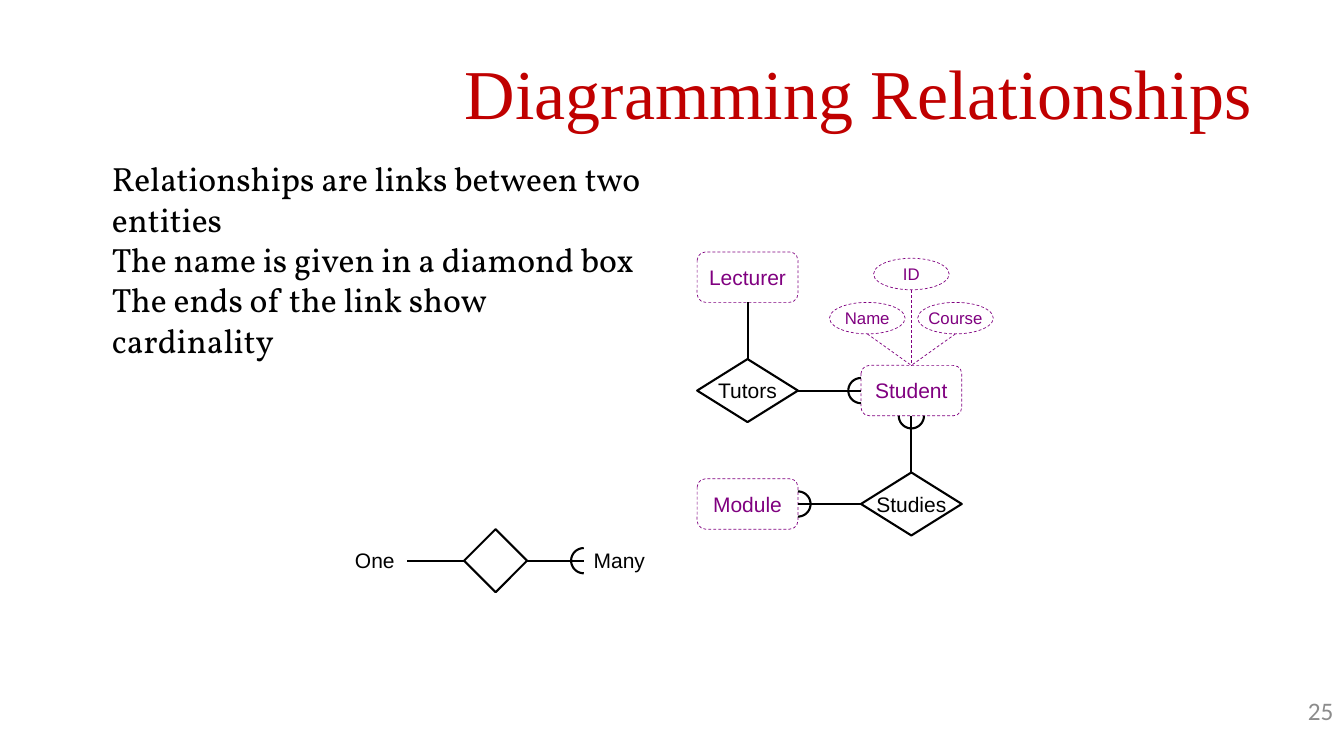
from dataclasses import dataclass
from math import cos, radians, sin

from lxml.etree import SubElement
from pptx import Presentation
from pptx.dml.color import RGBColor
from pptx.enum.dml import MSO_LINE
from pptx.enum.shapes import MSO_CONNECTOR, MSO_SHAPE
from pptx.enum.text import MSO_ANCHOR as Anchor, PP_ALIGN as Align
from pptx.oxml.ns import qn
from pptx.util import Pt

TOP, LEFT, BOTTOM, RIGHT = range(4)


@dataclass(frozen=True)
class Theme:
    """Colours, fonts, type sizes and line weights of the slide."""
    ink: RGBColor = RGBColor(0, 0, 0)
    title: RGBColor = RGBColor(0xC0, 0, 0)
    entity: RGBColor = RGBColor(0x80, 0, 0x80)
    muted: RGBColor = RGBColor(0x8C, 0x8C, 0x8C)
    title_font: str = "Times New Roman"
    body_font: str = "Vollkorn"
    label_font: str = "Arial"
    number_font: str = "Calibri"
    title_size: float = 50
    body_size: float = 24
    number_size: float = 18
    label_size: float = 15
    attribute_size: float = 12
    thick: float = 1.5
    thin: float = 0.5


THEME = Theme()


def write(shape, text, *, size=THEME.label_size, font=THEME.label_font,
          color=THEME.ink, align=Align.LEFT, anchor=Anchor.TOP, wrap=False,
          margins=(7.2, 3.6, 7.2, 3.6), spacing=None):
    """Fill a shape with text, one paragraph per line."""
    frame = shape.text_frame
    frame.word_wrap = wrap
    frame.vertical_anchor = anchor
    (frame.margin_left, frame.margin_top,
     frame.margin_right, frame.margin_bottom) = map(Pt, margins)
    frame.text = text
    for paragraph in frame.paragraphs:
        paragraph.alignment = align
        if spacing:
            paragraph.line_spacing = spacing
        paragraph.font.size = Pt(size)
        paragraph.font.name = font
        paragraph.font.color.rgb = color


def add_text(slide, box, text, **style):
    """Add a text box at the given left, top, width and height."""
    write(slide.shapes.add_textbox(*map(Pt, box)), text, **style)


def style_line(line, dashed):
    """Draw a thin dashed entity line or a thick solid one."""
    line.color.rgb = THEME.entity if dashed else THEME.ink
    line.width = Pt(THEME.thin if dashed else THEME.thick)
    if dashed:
        line.dash_style = MSO_LINE.DASH


def add_node(slide, kind, center, extent, text="", dashed=False, **style):
    """Add an unfilled outline shape around a centre point."""
    (x, y), (width, height) = center, extent
    shape = slide.shapes.add_shape(
        kind, Pt(x - width / 2), Pt(y - height / 2), Pt(width), Pt(height))
    shape.shadow.inherit = False
    shape.fill.background()
    style_line(shape.line, dashed)
    if text:
        write(shape, text, color=THEME.entity if dashed else THEME.ink,
              align=Align.CENTER, anchor=Anchor.MIDDLE, **style)
    return shape


def add_link(slide, start, end, begin=None, finish=None, dashed=False):
    """Add a straight link, joined to the (shape, side) pairs given."""
    link = slide.shapes.add_connector(
        MSO_CONNECTOR.STRAIGHT, *map(Pt, (*start, *end)))
    if begin:
        link.begin_connect(*begin)
    if finish:
        link.end_connect(*finish)
    style_line(link.line, dashed)
    SubElement(link._element.spPr, qn("a:effectLst"))


def add_many_end(slide, center, facing, radius=9, steps=24):
    """Add a half circle bulging in the facing direction, in degrees."""
    x, y = center
    angles = [radians(facing - 90 + 180 * step / steps) for step in range(steps + 1)]
    points = [(Pt(x + radius * cos(a)), Pt(y + radius * sin(a))) for a in angles]
    builder = slide.shapes.build_freeform(*points[0], scale=1.0)
    builder.add_line_segments(points[1:], close=False)
    arc = builder.convert_to_shape()
    arc.shadow.inherit = False
    arc.fill.background()
    style_line(arc.line, False)


def add_attributes(slide, student, center):
    """Add the attribute ellipses above the student entity."""
    x, y = center
    width, height = 54, 22.5
    top = (x, y - 18)
    for name, dx, dy in (("ID", 0, -83.25), ("Course", 31.5, -51.75),
                         ("Name", -31.5, -51.75)):
        add_node(slide, MSO_SHAPE.OVAL, (x + dx, y + dy), (width, height), name,
                 dashed=True, size=THEME.attribute_size)
        add_link(slide, (x + dx, y + dy + height / 2), top,
                 finish=(student, TOP), dashed=True)


def add_entity_diagram(slide, box):
    """Add the entities and the relationships that link them."""
    left, top, width, height = box
    entity, diamond = (72, 36), (72, 45)
    columns = (left + entity[0] / 2, left + width - entity[0] / 2)
    first = top + entity[1] / 2
    pitch = (height - entity[1] / 2 - diamond[1] / 2) / 2
    at = {(c, r): (columns[c], first + r * pitch) for c in range(2) for r in range(3)}

    student, lecturer, module = (
        add_node(slide, MSO_SHAPE.ROUNDED_RECTANGLE, at[cell], entity, name, dashed=True)
        for name, cell in (("Student", (1, 1)), ("Lecturer", (0, 0)), ("Module", (0, 2))))
    tutors, studies = (
        add_node(slide, MSO_SHAPE.DIAMOND, at[cell], diamond, name)
        for name, cell in (("Tutors", (0, 1)), ("Studies", (1, 2))))
    for begin, finish in (((lecturer, BOTTOM), (tutors, TOP)),
                          ((tutors, RIGHT), (student, LEFT)),
                          ((student, BOTTOM), (studies, TOP)),
                          ((module, RIGHT), (studies, LEFT))):
        add_link(slide, (0, 0), (0, 0), begin, finish)

    half_width, half_height = entity[0] / 2, entity[1] / 2
    for cell, dx, dy, facing in (((0, 2), half_width, 0, 0),
                                 ((1, 1), -half_width, 0, 180),
                                 ((1, 1), 0, half_height, 90)):
        x, y = at[cell]
        add_many_end(slide, (x + dx, y + dy), facing)
    add_attributes(slide, student, at[1, 1])


def add_legend(slide, box):
    """Add the key to the one and many ends of a link."""
    left, top, width, height = box
    x, y = left + width / 2, top + height / 2
    diamond = add_node(slide, MSO_SHAPE.DIAMOND, (x, y), (height, height))
    add_link(slide, (left, y), (x, y), finish=(diamond, LEFT))
    add_link(slide, (x, y), (left + width, y), begin=(diamond, RIGHT))
    add_many_end(slide, (left + width, y), 180)
    add_text(slide, (left + width, y - 13, 52, 25), "Many")
    add_text(slide, (left - 45, y - 13, 43, 25), "One", align=Align.RIGHT)


def add_wording(slide, box):
    """Add the title, the body text and the slide number."""
    left, top, width, height = box
    add_text(slide, (left + 332, top + 29, 580, 121), "Diagramming Relationships",
             size=THEME.title_size, font=THEME.title_font, color=THEME.title,
             wrap=True, margins=(0, 6, 0, 0))
    add_text(slide, (left + 80, top + 113, 384, 367),
             "Relationships are links between two entities\n"
             "The name is given in a diamond box\n"
             "The ends of the link show cardinality",
             size=THEME.body_size, font=THEME.body_font, wrap=True,
             margins=(0, 0, 0, 0), spacing=Pt(28.8))
    add_text(slide, (left + width - 55.6, top + height - 43, 48, 37), "25",
             size=THEME.number_size, font=THEME.number_font, color=THEME.muted,
             align=Align.RIGHT, wrap=True, margins=(0, 0, 0, 0))


def main():
    """Build the slide and save it."""
    presentation = Presentation()
    presentation.slide_width, presentation.slide_height = Pt(960), Pt(540)
    slide = presentation.slides.add_slide(presentation.slide_layouts[6])
    add_wording(slide, (0, 0, 960, 540))
    add_entity_diagram(slide, (498, 180, 189, 202.5))
    add_legend(slide, (291, 378, 126, 45))
    presentation.save("out.pptx")


if __name__ == "__main__":
    main()
